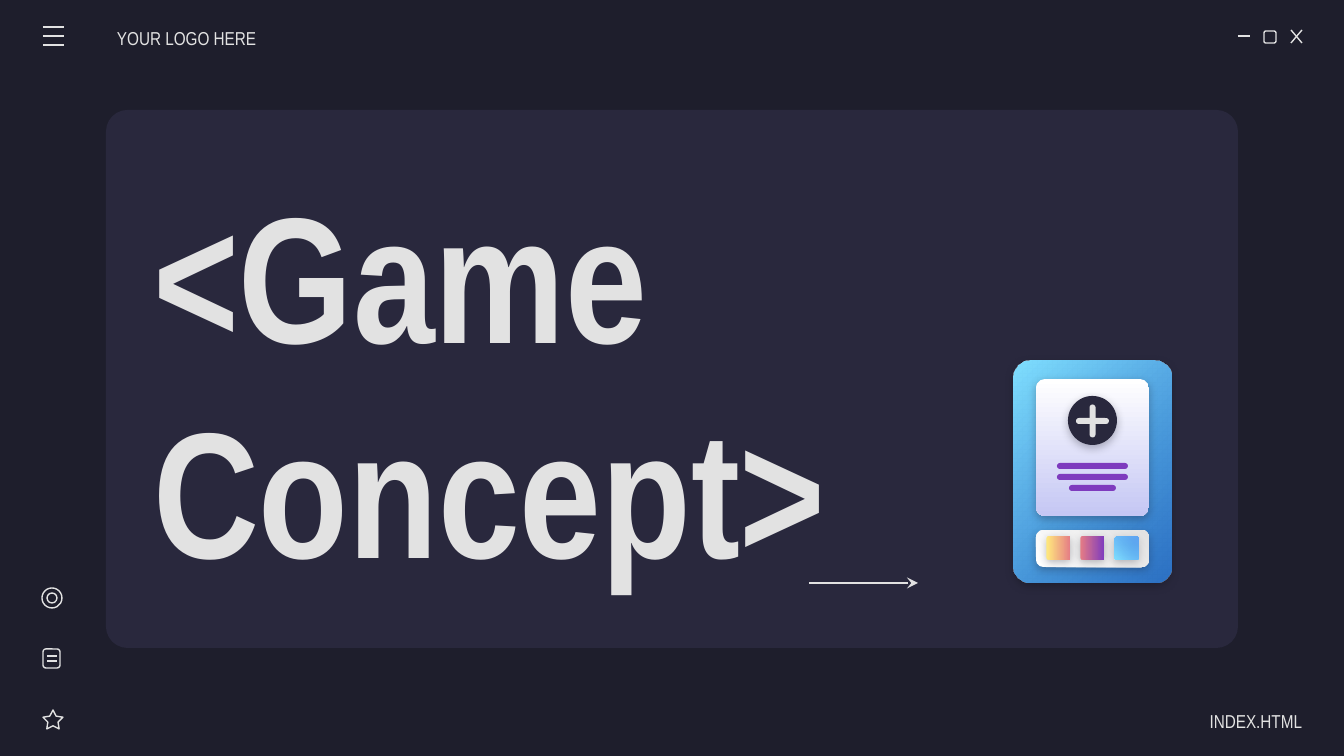
from lxml.etree import SubElement
from pptx import Presentation
from pptx.dml.color import RGBColor
from pptx.enum.shapes import MSO_CONNECTOR, MSO_SHAPE
from pptx.enum.text import MSO_ANCHOR, MSO_AUTO_SIZE, PP_ALIGN
from pptx.oxml.ns import qn
from pptx.util import Emu, Pt

EMU_PER_PX = 914400 / 134.4
FONT = "Arial Narrow"
NIGHT = RGBColor(0x1E, 0x1E, 0x2C)
PANEL = RGBColor(0x29, 0x28, 0x3D)
LIGHT = RGBColor(0xE2, 0xE2, 0xE2)
WHITE = RGBColor(0xFF, 0xFF, 0xFF)
LILAC = RGBColor(0xC5, 0xC7, 0xF4)
PURPLE = RGBColor(0x7E, 0x3B, 0xBE)
YELLOW = RGBColor(0xFF, 0xEA, 0x7D)
CORAL = RGBColor(0xE5, 0x7C, 0x85)
SKY = RGBColor(0x80, 0xDF, 0xFF)
BLUE = RGBColor(0x31, 0x8F, 0xFA)

ROUND = MSO_SHAPE.ROUNDED_RECTANGLE
RING = MSO_SHAPE.OVAL
STAR = MSO_SHAPE.STAR_5_POINT


def px(value):
    return Emu(round(value * EMU_PER_PX))


def set_attributes(target, values):
    for name, value in values.items():
        setattr(target, name, value)


def add_shadow(shape, opacity):
    effects = shape._element.spPr.find(qn("a:effectLst"))
    shadow = SubElement(effects, qn("a:outerShdw"), blurRad=str(Pt(4.5)),
                        dist=str(Pt(1.5)), dir="5400000", algn="bl",
                        rotWithShape="0")
    color = SubElement(shadow, qn("a:srgbClr"), val=str(NIGHT))
    SubElement(color, qn("a:alpha"), val=str(opacity * 1000))


def add_shape(page, kind, bounds, fill=None, corner=None, rotation=0):
    """Add a filled shape, or an outlined one when no fill is given."""
    shape = page.shapes.add_shape(kind, *map(px, bounds))
    shape.shadow.inherit = False
    shape.rotation = rotation
    if corner is not None:
        shape.adjustments[0] = corner
    if fill is None:
        shape.fill.background()
        shape.line.color.rgb = LIGHT
        shape.line.width = Pt(0.75)
    else:
        shape.fill.solid()
        shape.fill.fore_color.rgb = fill
        shape.line.fill.background()
    return shape


def add_gradient_box(page, bounds, corner, colors, angle, rotation=0,
                     opacity=30):
    """Add a shadowed box; angle runs clockwise, and BLUE is see-through."""
    box = add_shape(page, ROUND, bounds, WHITE, corner, rotation)
    box.fill.gradient()
    box.fill.gradient_angle = 360 - angle
    for stop, color in zip(box.fill.gradient_stops, colors):
        stop.color.rgb = color
        stop.position = colors.index(color)
    for color in box._element.spPr.iter(qn("a:srgbClr")):
        if color.get("val") == str(BLUE):
            SubElement(color, qn("a:alpha"), val="72000")
    add_shadow(box, opacity)


def add_line(page, start, end, arrow=False):
    line = page.shapes.add_connector(MSO_CONNECTOR.STRAIGHT,
                                     *map(px, (*start, *end)))
    line.line.color.rgb = LIGHT
    line.line.width = Pt(0.75)
    if arrow:
        SubElement(line.line._get_or_add_ln(), qn("a:tailEnd"),
                   type="stealth", w="med", len="med")
    SubElement(line._element.spPr, qn("a:effectLst"))


def write_text(box, bounds, text, size, bold=False, spacing=1.0,
               align=PP_ALIGN.LEFT, left=13, right=13):
    set_attributes(box, dict(zip(("left", "top", "width", "height"),
                                 map(px, bounds))))
    set_attributes(box.text_frame, {
        "word_wrap": True, "auto_size": MSO_AUTO_SIZE.NONE,
        "vertical_anchor": MSO_ANCHOR.MIDDLE,
        "margin_left": px(left), "margin_right": px(right),
        "margin_top": px(13), "margin_bottom": px(13)})
    para = box.text_frame.paragraphs[0]
    set_attributes(para, {"alignment": align, "line_spacing": spacing})
    span = para.add_run()
    span.text = text
    set_attributes(span.font, {"name": FONT, "size": Pt(size), "bold": bold})
    span.font.color.rgb = LIGHT


def add_label(page, bounds, text, **options):
    box = page.shapes.add_textbox(*map(px, bounds))
    write_text(box, bounds, text, 10, spacing=1.15, **options)


def add_window_buttons(page):
    add_line(page, (1238, 36), (1250, 36))
    add_shape(page, ROUND, (1264, 31, 12, 12), corner=0.167)
    add_line(page, (1291, 30), (1302, 43))
    add_line(page, (1302, 30), (1291, 43))


def add_side_icons(page):
    # Menu
    for y in (27, 36, 45):
        add_line(page, (43, y), (64, y))
    # Star
    add_shape(page, STAR, (43, 710, 20, 19), corner=0.254)
    # Note
    add_shape(page, ROUND, (43, 649, 17, 19), corner=0.167)
    for y in (656, 661):
        add_line(page, (47, y), (57, y))
    # Target
    for inset in (0, 5):
        size = 20 - 2 * inset
        add_shape(page, RING, (42 + inset, 588 + inset, size, size))


def add_game_card(page):
    # Sheet with text bars
    add_gradient_box(page, (1036, 379, 113, 137), 0.08, (WHITE, LILAC), 90)
    for row, width in enumerate((71, 71, 47)):
        add_shape(page, ROUND, (1092.5 - width / 2, 463 + 11 * row, width, 6),
                  PURPLE, 0.5)
    # Plus badge
    badge = add_shape(page, RING, (1068, 396, 49, 49), PANEL)
    add_shadow(badge, 30)
    for rotation in (0, 90):
        add_shape(page, ROUND, (1076, 418, 33, 6), LIGHT, 0.5, rotation)
    # Tray of colour tiles
    add_gradient_box(page, (1074, 492, 37, 113), 0.198, (WHITE, LIGHT), 45, 270)
    tiles = [((YELLOW, CORAL), 90), ((CORAL, PURPLE), 90), ((SKY, BLUE), 45)]
    for column, (colors, angle) in enumerate(tiles):
        add_gradient_box(page, (1047 + 34 * column, 536, 23, 24), 0.073,
                         colors, angle, 270)


def main():
    deck = Presentation()
    deck.slide_width, deck.slide_height = px(1344), px(756)
    page = deck.slides.add_slide(deck.slide_layouts[5])
    page.background.fill.solid()
    page.background.fill.fore_color.rgb = NIGHT

    # Browser frame
    add_shape(page, ROUND, (106, 110, 1132, 538), PANEL, 0.04)
    add_window_buttons(page)
    add_gradient_box(page, (1014, 361, 157, 222), 0.108, (SKY, BLUE), 45,
                     opacity=100)
    add_label(page, (117, 16, 157, 40), "YOUR LOGO HERE", left=0)
    add_side_icons(page)
    add_label(page, (1145, 699, 157, 40), "INDEX.HTML",
              align=PP_ALIGN.RIGHT, right=0)

    # Title, moved in front of the panel
    title = page.shapes.title
    title._element.getparent().append(title._element)
    write_text(title, (140, 179, 864, 401), "<Game Concept>", 96, bold=True)

    # Illustration and arrow
    add_game_card(page)
    add_line(page, (809, 583), (918, 583), arrow=True)
    deck.save("out.pptx")


if __name__ == "__main__":
    main()
